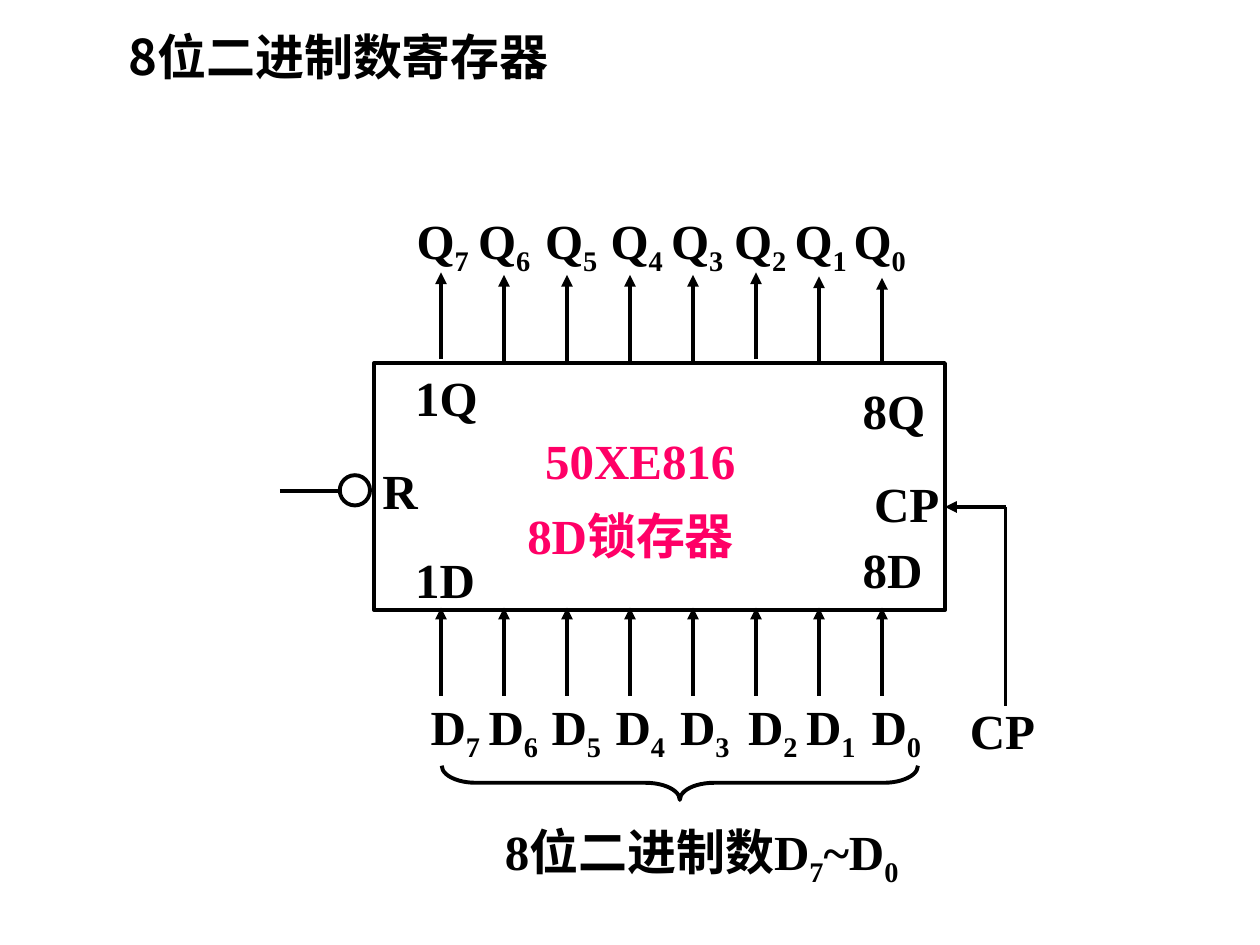
from dataclasses import dataclass

from lxml import etree
from pptx import Presentation
from pptx.dml.color import RGBColor
from pptx.enum.shapes import MSO_CONNECTOR, MSO_SHAPE
from pptx.enum.text import MSO_ANCHOR, MSO_AUTO_SIZE, PP_ALIGN
from pptx.oxml.ns import qn
from pptx.util import Cm, Pt

STRAIGHT = MSO_CONNECTOR.STRAIGHT
RECTANGLE = MSO_SHAPE.RECTANGLE
OVAL = MSO_SHAPE.OVAL
LEFT_BRACE = MSO_SHAPE.LEFT_BRACE
GROW = MSO_AUTO_SIZE.SHAPE_TO_FIT_TEXT
TOP = MSO_ANCHOR.TOP
LEFT = PP_ALIGN.LEFT


@dataclass(frozen=True)
class Theme:
    """Colours, fonts and sizes of the slide."""
    ink: RGBColor = RGBColor(0, 0, 0)
    paper: RGBColor = RGBColor(255, 255, 255)
    accent: RGBColor = RGBColor(0xFF, 0x00, 0x66)
    latin: str = "Times New Roman"
    chinese: str = "Noto Sans CJK SC"
    size: Pt = Pt(28)
    line: Pt = Pt(2.25)
    label_height: float = 1.45


THEME = Theme()


def add_text(slide, text, left, top, width, color=THEME.ink, font=THEME.latin):
    """Add a bold label; each part after an underscore starts with a subscript digit."""
    box = slide.shapes.add_textbox(Cm(left), Cm(top), Cm(width), Cm(THEME.label_height))
    frame = box.text_frame
    frame.word_wrap = True
    frame.auto_size = GROW
    frame.vertical_anchor = TOP
    paragraph = frame.paragraphs[0]
    paragraph.alignment = LEFT
    first, *others = text.split("_")
    pieces = [(first, False)]
    for part in others:
        pieces += [(part[0], True), (part[1:], False)]
    for piece, lowered in pieces:
        if not piece:
            continue
        run = paragraph.add_run()
        run.text = piece
        run.font.size = THEME.size
        run.font.bold = True
        run.font.name = font
        run.font.color.rgb = color
        properties = run._r.get_or_add_rPr()
        etree.SubElement(properties, qn("a:ea")).set("typeface", THEME.chinese)
        if lowered:
            properties.set("baseline", "-25000")


def add_line(slide, start, end, arrow=False):
    """Draw a straight line, with an arrowhead at its end on request."""
    points = [Cm(value) for value in (*start, *end)]
    connector = slide.shapes.add_connector(STRAIGHT, *points)
    connector.line.color.rgb = THEME.ink
    connector.line.width = THEME.line
    if arrow:
        outline = connector.line._get_or_add_ln()
        etree.SubElement(outline, qn("a:tailEnd")).set("type", "triangle")
    etree.SubElement(connector._element.spPr, qn("a:effectLst"))


def add_outline(slide, kind, left, top, width, height, filled=True):
    """Add a preset shape with a black outline."""
    shape = slide.shapes.add_shape(kind, Cm(left), Cm(top), Cm(width), Cm(height))
    shape.shadow.inherit = False
    if filled:
        shape.fill.solid()
        shape.fill.fore_color.rgb = THEME.paper
    else:
        shape.fill.background()
    shape.line.color.rgb = THEME.ink
    shape.line.width = THEME.line
    return shape


def add_pins(slide, left, top, height):
    """Draw the eight outputs above and the eight inputs below the chip."""
    output_lefts = (0.61, 1.85, 3.2, 4.52, 5.74, 7.01, 8.23, 9.42)
    input_lefts = (0.89, 2.06, 3.33, 4.62, 5.92, 7.29, 8.46, 9.78)
    output_shifts = (-0.08, -0.03, -0.03, -0.03, -0.03, -0.08, 0, 0.03)
    pins = zip(output_lefts, input_lefts, output_shifts)
    for index, (output_left, input_left, shift) in enumerate(pins):
        bit = 7 - index
        x = left + 1.35 + 1.27 * index
        add_line(slide, (x, top + shift), (x, top + shift - 1.75), arrow=True)
        add_line(slide, (x, top + height + 1.73), (x, top + height - 0.05), arrow=True)
        add_text(slide, f"Q_{bit}", left + output_left, top - 3.2, 1.75)
        add_text(slide, f"D_{bit}", left + input_left, top + 6.6, 1.75)


def add_control_lines(slide, left, top, width):
    """Draw the reset line with its bubble and the clock line."""
    add_line(slide, (left - 1.9, top + 2.57), (left - 0.64, top + 2.57))
    add_outline(slide, OVAL, left - 0.69, top + 2.26, 0.61, 0.61)
    corner = (left + 12.73, top + 2.9)
    add_line(slide, corner, (left + width, top + 2.9), arrow=True)
    add_line(slide, corner, (left + 12.73, top + 6.91))


def add_register(slide, left, top, width, height):
    """Draw the latch chip with its pins, labels and data brace."""
    add_outline(slide, RECTANGLE, left, top, width, height)
    add_pins(slide, left, top, height)
    add_control_lines(slide, left, top, width)
    labels = (
        ("1Q", 0.58, -0.03, 1.85),
        ("8Q", 9.6, 0.23, 1.85),
        ("1D", 0.58, 3.63, 1.85),
        ("8D", 9.6, 3.43, 1.85),
        ("R", -0.08, 1.83, 1.12),
        ("CP", 9.83, 2.11, 2.08),
        ("CP", 11.76, 6.68, 1.88),
    )
    for text, x, y, label_width in labels:
        add_text(slide, text, left + x, top + y, label_width)
    add_text(slide, "50XE816", left + 3.2, top + 1.24, 4.85, color=THEME.accent)
    add_text(slide, "8D锁存器", left + 2.84, top + 2.74, 5.38, color=THEME.accent)
    brace = add_outline(slide, LEFT_BRACE, left + 5.82, top + 3.66, 0.69, 9.6, filled=False)
    brace.rotation = 270
    brace.adjustments[0] = 1
    brace.adjustments[1] = 0.5
    add_text(slide, "8位二进制数D_7~D_0", left + 2.39, top + 9.12, 9.37)


def main():
    """Build and save the presentation."""
    presentation = Presentation()
    presentation.slide_width = Cm(25.4)
    presentation.slide_height = Cm(19.05)
    slide = presentation.slides.add_slide(presentation.slide_layouts[6])
    add_text(slide, "8位二进制数寄存器", 2.34, 0.41, 9.02, font=THEME.chinese)
    add_register(slide, 7.54, 7.32, 11.51, 4.98)
    presentation.save("out.pptx")


main()
